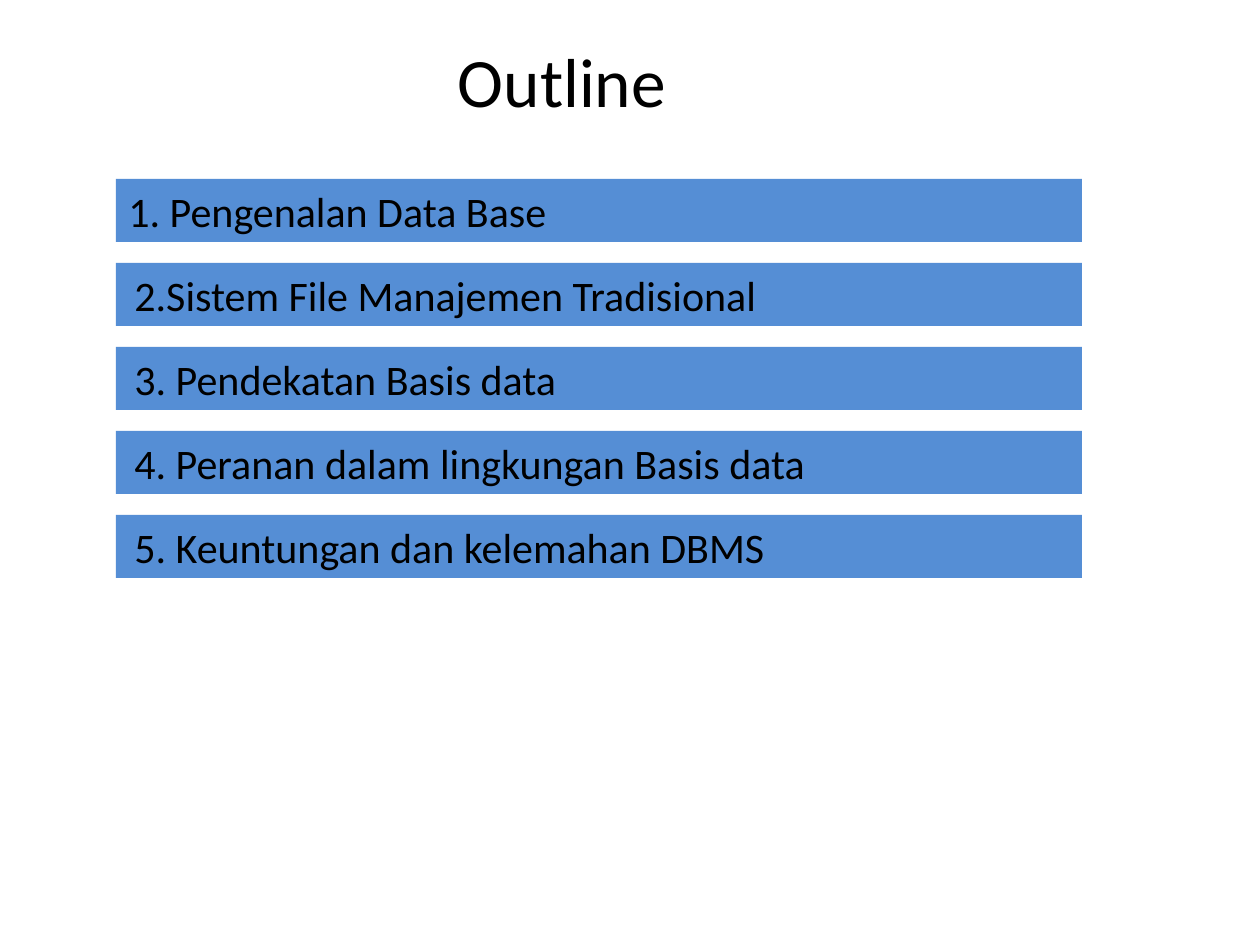
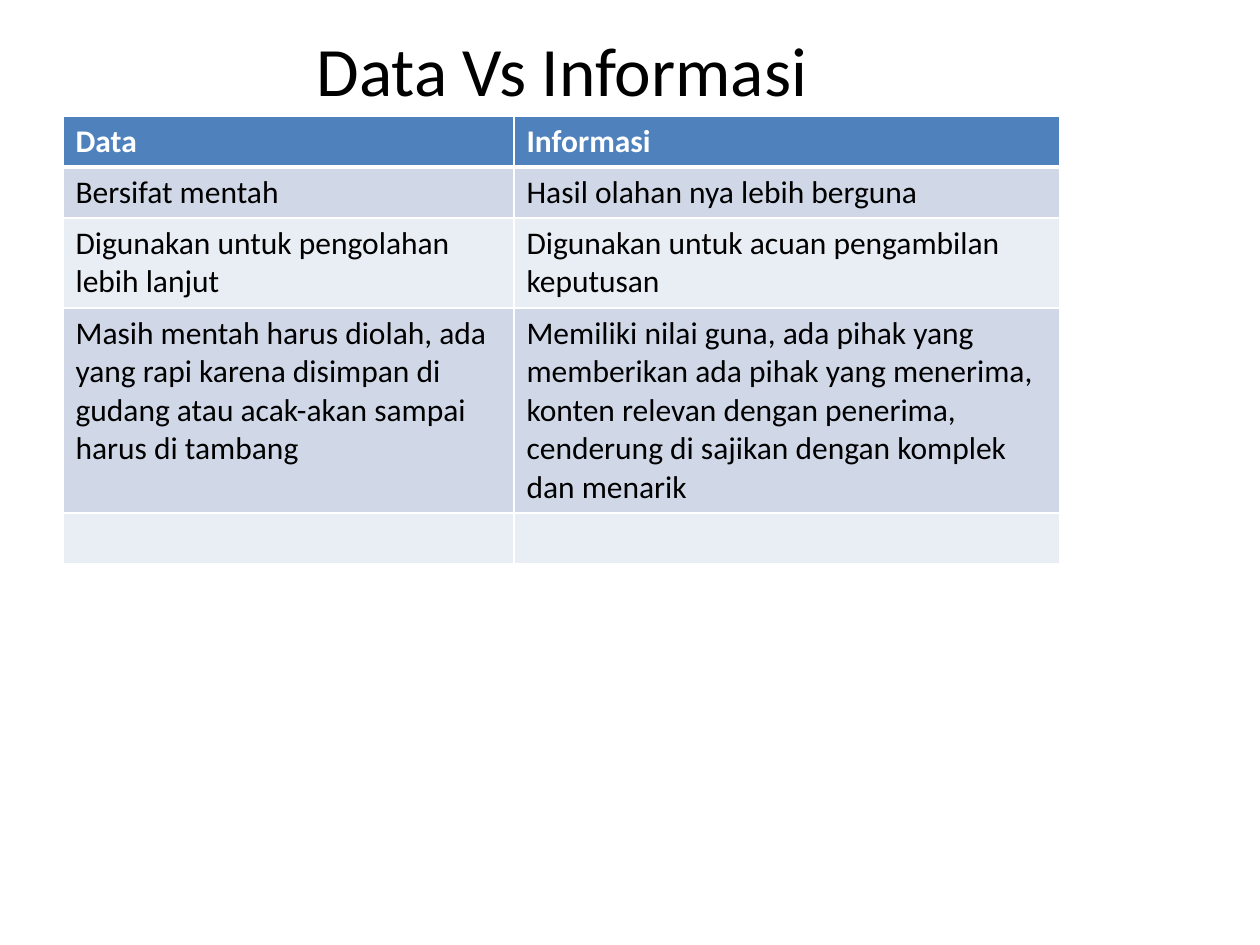
from lxml import etree
from pptx import Presentation, util as u
from pptx.dml.color import RGBColor
from pptx.enum import shapes, text
from pptx.oxml.ns import qn

PX = u.Inches(1) / 126
COLORS = {"ink": "000000", "white": "FFFFFF", "bar": "558ED5",
          "header": "4F81BD", "odd": "D0D8E8", "even": "E9EDF4"}
LEFT, TOP, WIDTH = 63, 44, 998


def px(length):
    return u.Emu(round(length * PX))


def color(name):
    return RGBColor.from_string(COLORS[name])


class Deck:
    """Holds the shared style and the current slide."""
    font = "Calibri"

    def __init__(self):
        self.prs = Presentation()
        self.prs.slide_width, self.prs.slide_height = px(1260), px(945)
        self.slide = None

    def new_slide(self, title, title_height):
        self.slide = self.prs.slides.add_slide(self.prs.slide_layouts[6])
        heading = self.slide.shapes.add_textbox(
            px(LEFT), px(TOP), px(WIDTH), px(title_height))
        heading.text_frame.word_wrap = True
        heading.text_frame.vertical_anchor = text.MSO_ANCHOR.MIDDLE
        self.set_text(heading.text_frame, title, 39.6,
                      align=text.PP_ALIGN.CENTER)

    def set_text(self, frame, words, size, ink="ink", bold=False,
                 align=text.PP_ALIGN.LEFT):
        paragraph = frame.paragraphs[0]
        if words:
            paragraph.add_run().text = words
        paragraph.alignment = align
        font = paragraph.font
        font.name, font.size, font.bold = self.font, u.Pt(size), bold
        font.color.rgb = color(ink)
        return paragraph

    def bar(self, x, y, w, h, words, margin=0, indent=0):
        bar = self.slide.shapes.add_shape(
            shapes.MSO_SHAPE.RECTANGLE, px(x), px(y), px(w), px(h))
        bar.shadow.inherit = False
        bar.fill.solid()
        bar.fill.fore_color.rgb = color("bar")
        bar.line.fill.background()
        frame = bar.text_frame
        frame.word_wrap = True
        frame.auto_size = text.MSO_AUTO_SIZE.SHAPE_TO_FIT_TEXT
        frame.vertical_anchor = text.MSO_ANCHOR.TOP
        properties = self.set_text(frame, words, 24)._p.get_or_add_pPr()
        properties.set("marL", str(px(margin)))
        properties.set("indent", str(px(indent)))

    def table(self, x, y, widths, heights, rows):
        table = self.slide.shapes.add_table(
            len(rows), len(widths), px(x), px(y),
            px(sum(widths)), px(sum(heights))).table
        for column, width in zip(table.columns, widths):
            column.width = px(width)
        for r, (height, row) in enumerate(zip(heights, rows)):
            table.rows[r].height = px(height)
            fill = "header" if r == 0 else "odd" if r % 2 else "even"
            for c, words in enumerate(row):
                cell = table.cell(r, c)
                cell.fill.solid()
                cell.fill.fore_color.rgb = color(fill)
                self.set_text(cell.text_frame, words, 18,
                              "white" if r == 0 else "ink", bold=r == 0)
                self.borders(cell, top=3 if r == 1 else 1,
                             bottom=3 if r == 0 else 1)

    def borders(self, cell, top, bottom):
        properties = cell._tc.get_or_add_tcPr()
        sides = {"a:lnL": 1, "a:lnR": 1, "a:lnT": top, "a:lnB": bottom}
        for place, (side, width) in enumerate(sides.items()):
            line = etree.Element(qn(side), w=str(u.Pt(width)))
            solid = etree.SubElement(line, qn("a:solidFill"))
            etree.SubElement(solid, qn("a:srgbClr"), val=COLORS["white"])
            properties.insert(place, line)


def main():
    deck = Deck()

    # Outline: five equally spaced bars, all but the first indented
    deck.new_slide("Outline", 72)
    topics = ["1. Pengenalan Data Base",
              "2.Sistem File Manajemen Tradisional",
              "3. Pendekatan Basis data",
              "4. Peranan dalam lingkungan Basis data",
              "5. Keuntungan dan kelemahan DBMS"]
    for i, topic in enumerate(topics):
        margin, indent = (63, -57) if i else (0, 0)
        deck.bar(116, 179 + 84 * i, 966, 63, topic, margin, indent)

    # Comparison of data and information
    deck.new_slide("Data Vs Informasi", 50)
    comparison = [
        ("Data", "Informasi"),
        ("Bersifat mentah", "Hasil olahan nya lebih berguna"),
        ("Digunakan untuk pengolahan lebih lanjut",
         "Digunakan untuk acuan pengambilan keputusan"),
        ("Masih mentah harus diolah, ada yang rapi karena disimpan di gudang "
         "atau acak-akan sampai harus di tambang",
         "Memiliki nilai guna, ada pihak yang memberikan ada pihak yang "
         "menerima, konten relevan dengan penerima, cenderung di sajikan "
         "dengan komplek dan menarik"),
        ("", ""),
    ]
    deck.table(LEFT, 116, [451, 546], [51, 51, 90, 205, 50], comparison)

    deck.prs.save("out.pptx")


if __name__ == "__main__":
    main()
